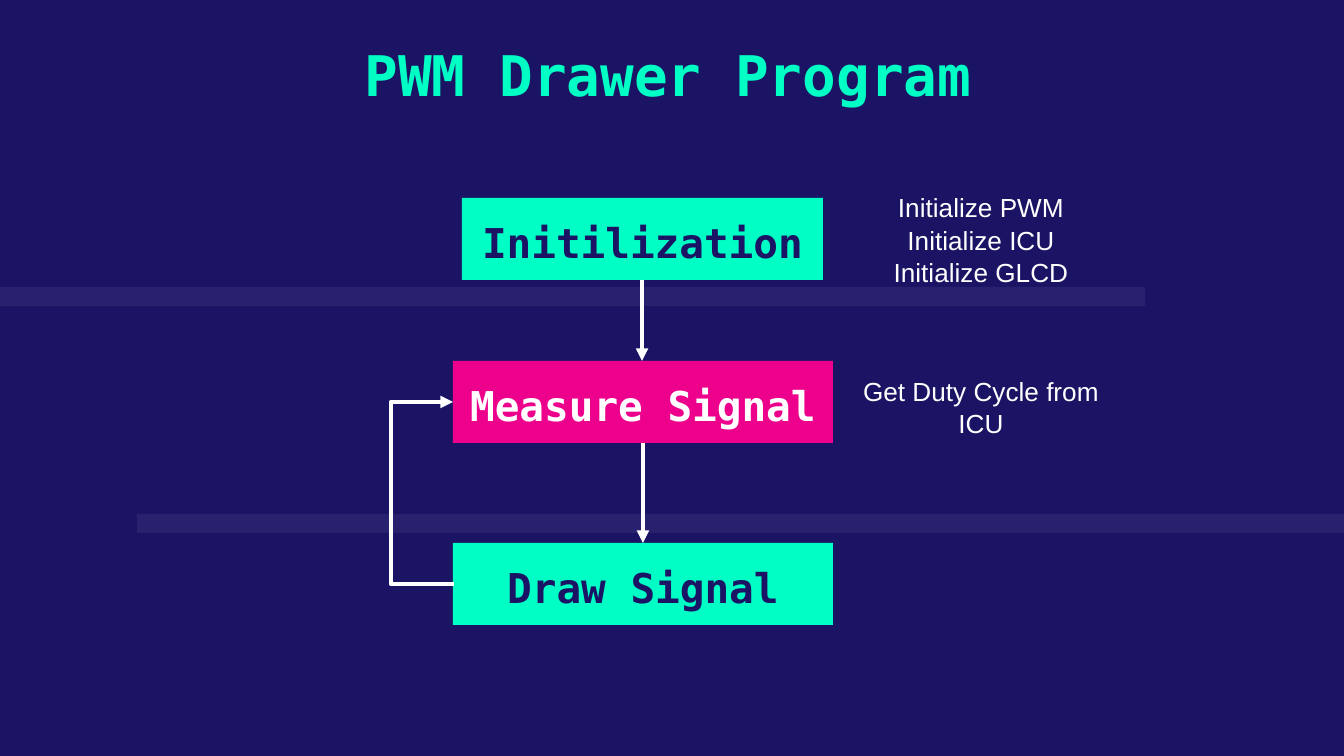
"""Build the PWM drawer program flow chart slide."""
from dataclasses import dataclass
from itertools import pairwise

from lxml import etree
from pptx import Presentation
from pptx import util as u
from pptx.dml.color import RGBColor
from pptx.enum import shapes, text
from pptx.oxml import ns

SCALE = 914400 / 134.4
NAVY, MINT, PINK, WHITE = "1B1464", "00FFC5", "EC008C", "FFFFFF"
MONO, SANS = "DejaVu Sans Mono", "Arial"
INSET = u.Inches(0.1)
STEP_HEIGHT = 82
LOOP_LEFT = 391


@dataclass(frozen=True)
class Area:
    left: int
    top: int
    width: int
    height: int

    @property
    def middle(self) -> int:
        return self.left + self.width // 2

    @property
    def bottom(self) -> int:
        return self.top + self.height

    def emu(self) -> list[int]:
        return [px(n) for n in (self.left, self.top, self.width, self.height)]


@dataclass(frozen=True)
class Style:
    font: str
    size: int
    color: str
    bold: bool = False
    anchor: text.MSO_ANCHOR = text.MSO_ANCHOR.TOP
    spacing: float = 1.0


@dataclass(frozen=True)
class Step:
    label: str
    area: Area
    fill: str
    ink: str


STEPS = [
    Step("Initilization", Area(462, 198, 361, STEP_HEIGHT), MINT, NAVY),
    Step("Measure Signal", Area(453, 361, 380, STEP_HEIGHT), PINK, WHITE),
    Step("Draw Signal", Area(453, 543, 380, STEP_HEIGHT), MINT, NAVY),
]
STRIPES = [Area(0, 287, 1145, 19), Area(137, 514, 1207, 19)]
TITLE_STYLE = Style(MONO, 30, MINT, bold=True)
NOTE_STYLE = Style(SANS, 14, WHITE, spacing=1.05)


def px(pixels: float) -> int:
    return round(pixels * SCALE)


def rgb(color: str) -> RGBColor:
    return RGBColor.from_string(color)


def assign(target, values: dict) -> None:
    for name, value in values.items():
        setattr(target, name, value)


def place(box, area: Area) -> None:
    assign(box, dict(zip(("left", "top", "width", "height"), area.emu())))


def write(box, lines: list[str], style: Style) -> None:
    frame = box.text_frame
    assign(frame, {
        "text": "\n".join(lines),
        "word_wrap": True,
        "auto_size": text.MSO_AUTO_SIZE.NONE,
        "vertical_anchor": style.anchor,
        "margin_left": INSET, "margin_right": INSET,
        "margin_top": INSET, "margin_bottom": INSET,
    })
    for para in frame.paragraphs:
        assign(para, {
            "alignment": text.PP_ALIGN.CENTER,
            "line_spacing": style.spacing,
            "space_before": u.Pt(0),
            "space_after": u.Pt(0),
        })
        for span in para.runs:
            assign(span.font, {"name": style.font, "size": u.Pt(style.size), "bold": style.bold})
            span.font.color.rgb = rgb(style.color)


def draw_block(page, area: Area, fill: str):
    box = page.shapes.add_shape(shapes.MSO_SHAPE.RECTANGLE, *area.emu())
    box.shadow.inherit = False
    box.fill.solid()
    box.fill.fore_color.rgb = rgb(fill)
    box.line.fill.background()
    return box


def draw_stripe(page, area: Area) -> None:
    box = draw_block(page, area, WHITE)
    color = box.fill._xPr.find(".//" + ns.qn("a:srgbClr"))
    etree.SubElement(color, ns.qn("a:alpha"), val="6000")
    page.shapes._spTree.insert(2, box._element)


def draw_step(page, step: Step) -> None:
    box = draw_block(page, step.area, step.fill)
    write(box, [step.label], Style(MONO, 22, step.ink, True, text.MSO_ANCHOR.BOTTOM))


def draw_arrow(page, kind: shapes.MSO_CONNECTOR, start: tuple[int, int], end: tuple[int, int]):
    arrow = page.shapes.add_connector(kind, *map(px, start + end))
    arrow.line.width = u.Pt(2.25)
    arrow.line.color.rgb = rgb(WHITE)
    etree.SubElement(arrow.line._get_or_add_ln(), ns.qn("a:tailEnd"), type="triangle")
    etree.SubElement(arrow._element.spPr, ns.qn("a:effectLst"))
    return arrow


def draw_loop(page, source: Area, target: Area) -> None:
    left = target.left
    arrow = draw_arrow(page, shapes.MSO_CONNECTOR.ELBOW,
                       (left, target.top + target.height // 2),
                       (left + 1, source.top + source.height // 2))
    properties = arrow._element.spPr
    properties.find(ns.qn("a:xfrm")).set("rot", str(180 * 60000))
    guides = properties.find(ns.qn("a:prstGeom")).get_or_add_avLst()
    bend = (left + 1 - LOOP_LEFT) * 100000
    etree.SubElement(guides, ns.qn("a:gd"), name="adj1", fmla=f"val {bend}")


def main() -> None:
    deck = Presentation()
    assign(deck, {"slide_width": px(1344), "slide_height": px(756)})
    page = deck.slides.add_slide(deck.slide_layouts[0])
    page.background.fill.solid()
    page.background.fill.fore_color.rgb = rgb(NAVY)

    for stripe in STRIPES:
        draw_stripe(page, stripe)

    title, setup_note = page.placeholders
    place(title, Area(184, 27, 968, 98))
    write(title, ["PWM Drawer Program"], TITLE_STYLE)
    place(setup_note, Area(842, 176, 278, 125))
    write(setup_note, ["Initialize PWM", "Initialize ICU", "Initialize GLCD"], NOTE_STYLE)
    measure_note = page.shapes.add_textbox(*Area(842, 360, 278, 125).emu())
    write(measure_note, ["Get Duty Cycle from ICU"], NOTE_STYLE)

    for step in STEPS:
        draw_step(page, step)
    for upper, lower in pairwise(step.area for step in STEPS):
        draw_arrow(page, shapes.MSO_CONNECTOR.STRAIGHT,
                   (upper.middle, upper.bottom), (upper.middle, lower.top))
    draw_loop(page, STEPS[2].area, STEPS[1].area)

    deck.save("out.pptx")


main()
